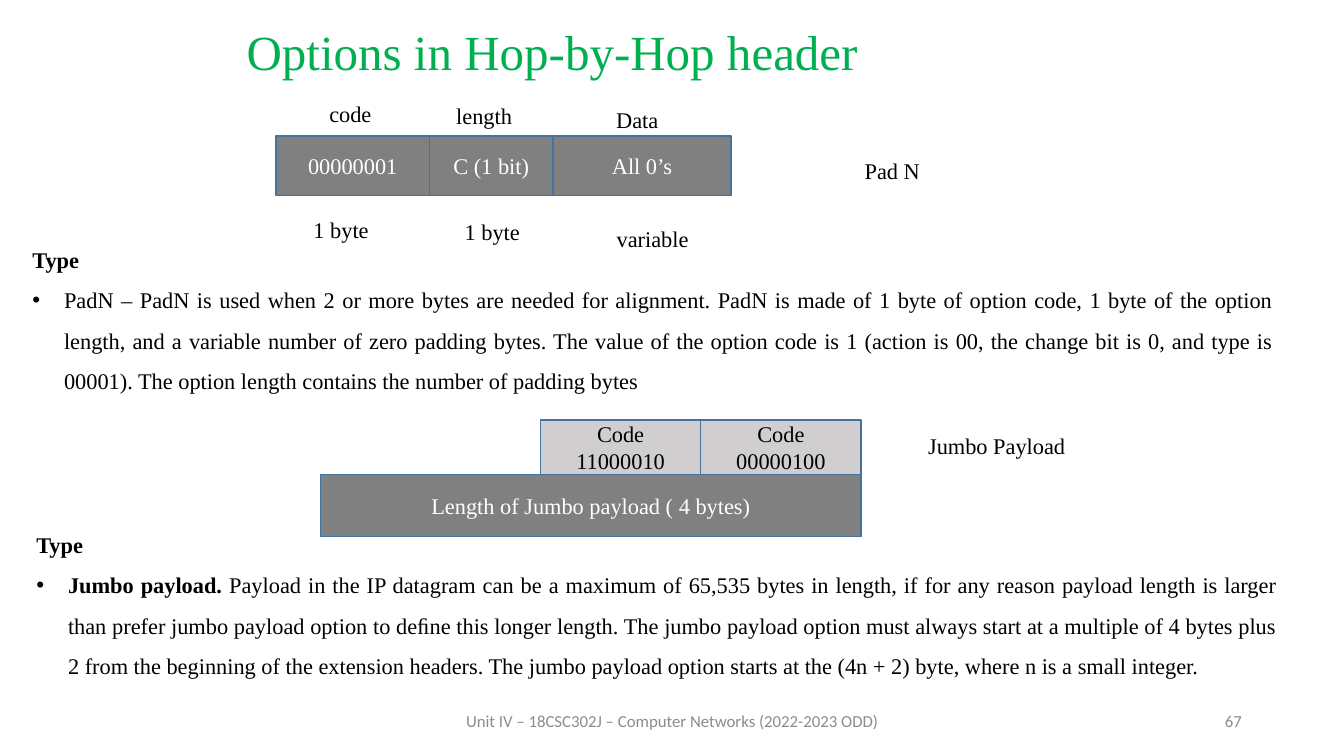
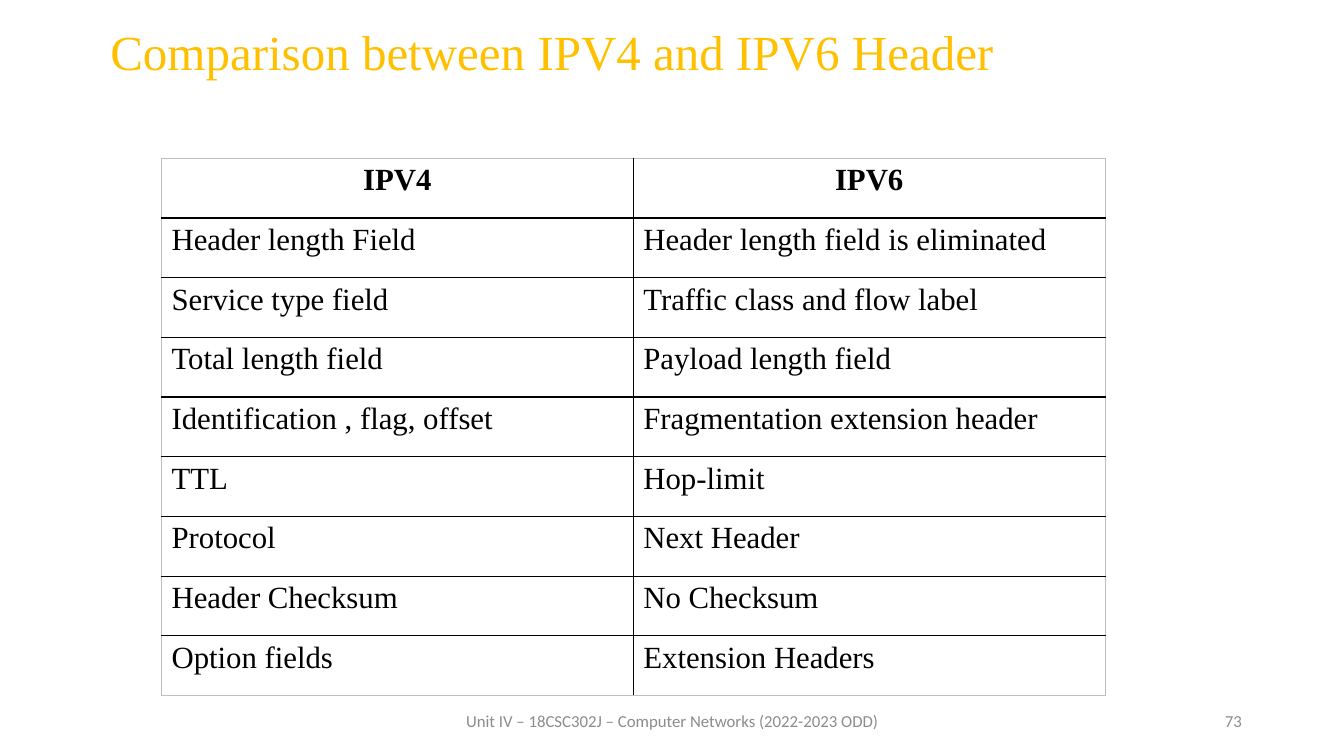
from lxml.etree import SubElement
from pptx import Presentation
from pptx.dml.color import RGBColor
from pptx.enum.shapes import MSO_SHAPE
from pptx.enum.text import MSO_ANCHOR, MSO_AUTO_SIZE, PP_ALIGN
from pptx.oxml.ns import qn
from pptx.util import Cm, Pt

COLORS = {
    "black": "000000",
    "white": "FFFFFF",
    "green": "00B050",
    "amber": "FFC000",
    "dark_field": "808080",
    "light_field": "D0CECE",
    "field_line": "43739E",
    "footer": "8C8C8C",
    "table_edge": "BFBFBF",
}
SERIF = "Times New Roman"
FOOTER = "Unit IV – 18CSC302J – Computer Networks (2022-2023 ODD)"


def write(paragraph, text, size=16, color="black", font=SERIF, bold=False, align=PP_ALIGN.LEFT):
    paragraph.alignment = align
    run = paragraph.add_run()
    run.text = text
    run.font.size = Pt(size)
    run.font.name = font
    run.font.bold = bold
    run.font.color.rgb = RGBColor.from_string(COLORS[color])


def add_label(slide, text, left, top, width, height=0.94, anchor=MSO_ANCHOR.TOP, **text_format):
    box = slide.shapes.add_textbox(Cm(left), Cm(top), Cm(width), Cm(height))
    box.text_frame.word_wrap = True
    box.text_frame.vertical_anchor = anchor
    write(box.text_frame.paragraphs[0], text, **text_format)


presentation = Presentation()
presentation.slide_width = Cm(33.87)
presentation.slide_height = Cm(19.05)
two_content = presentation.slide_layouts[3]
title_only = presentation.slide_layouts[5]

slides = []
for layout, title_text, title_color, number in [
    (two_content, "Options in Hop-by-Hop header", "green", "67"),
    (title_only, "Comparison between IPV4 and IPV6 Header", "amber", "73"),
]:
    slide = presentation.slides.add_slide(layout)
    slides.append(slide)
    title = slide.shapes.title
    title.left, title.top, title.width, title.height = Cm(0), Cm(0.41), Cm(27.84), Cm(1.52)
    title.text_frame.vertical_anchor = MSO_ANCHOR.TOP
    title.text_frame.auto_size = MSO_AUTO_SIZE.NONE
    paragraph = title.text_frame.paragraphs[0]
    paragraph.space_before = Pt(6)
    write(paragraph, title_text, size=35, color=title_color, align=PP_ALIGN.CENTER)
    for text, left, width, align in [
        (FOOTER, 11.23, 11.43, PP_ALIGN.CENTER),
        (number, 23.93, 7.62, PP_ALIGN.RIGHT),
    ]:
        add_label(slide, text, left, 17.65, width, 1.02, anchor=MSO_ANCHOR.MIDDLE,
                  size=12, color="footer", font="Calibri", align=align)

options_slide, comparison_slide = slides

for text, left, top, width, height, fill, color in [
    ("00000001", 6.96, 3.43, 3.86, 1.5, "dark_field", "white"),
    ("C (1 bit)", 10.82, 3.43, 3.12, 1.5, "dark_field", "white"),
    ("All 0’s", 13.94, 3.43, 4.48, 1.5, "dark_field", "white"),
    ("Code\n11000010", 13.62, 10.58, 4.04, 1.38, "light_field", "black"),
    ("Code\n00000100", 17.66, 10.58, 4.04, 1.38, "light_field", "black"),
    ("Length of Jumbo payload ( 4 bytes)", 8.08, 11.96, 13.62, 1.56, "dark_field", "white"),
]:
    field = options_slide.shapes.add_shape(
        MSO_SHAPE.RECTANGLE, Cm(left), Cm(top), Cm(width), Cm(height))
    field.shadow.inherit = False
    field.fill.solid()
    field.fill.fore_color.rgb = RGBColor.from_string(COLORS[fill])
    field.line.color.rgb = RGBColor.from_string(COLORS["field_line"])
    field.line.width = Pt(1)
    frame = field.text_frame
    frame.vertical_anchor = MSO_ANCHOR.MIDDLE
    for index, line in enumerate(text.split("\n")):
        paragraph = frame.add_paragraph() if index else frame.paragraphs[0]
        write(paragraph, line, color=color, align=PP_ALIGN.CENTER)

for text, left, top, width, align in [
    ("code", 7.65, 2.41, 2.36, PP_ALIGN.CENTER),
    ("length", 11.02, 2.46, 2.36, PP_ALIGN.CENTER),
    ("Data", 14.88, 2.54, 2.36, PP_ALIGN.CENTER),
    ("1 byte", 7.65, 5.33, 2.36, PP_ALIGN.LEFT),
    ("1 byte", 11.46, 5.38, 2.36, PP_ALIGN.LEFT),
    ("variable", 15.29, 5.54, 2.36, PP_ALIGN.LEFT),
    ("Pad N", 21.54, 3.84, 5.84, PP_ALIGN.LEFT),
    ("Jumbo Payload", 23.14, 10.77, 5.84, PP_ALIGN.LEFT),
]:
    add_label(options_slide, text, left, top, width, align=align)

for placeholder_index, left, top, height, heading_spacing, lead, text in [
    (1, 0.56, 5.74, 4.37, 1.5, "",
     "PadN – PadN is used when 2 or more bytes are needed for alignment. PadN is made of "
     "1 byte of option code, 1 byte of the option length, and a variable number of zero "
     "padding bytes. The value of the option code is 1 (action is 00, the change bit is 0, "
     "and type is 00001). The option length contains the number of padding bytes"),
    (2, 0.66, 13.26, 3.89, 1.0, "Jumbo payload. ",
     "Payload in the IP datagram can be a maximum of 65,535 bytes in length, if for any "
     "reason payload length is larger than prefer jumbo payload option to deﬁne this longer "
     "length. The jumbo payload option must always start at a multiple of 4 bytes plus 2 from "
     "the beginning of the extension headers. The jumbo payload option starts at the (4n + 2) "
     "byte, where n is a small integer."),
]:
    body = options_slide.placeholders[placeholder_index]
    body.left, body.top, body.width, body.height = Cm(left), Cm(top), Cm(31.78), Cm(height)
    frame = body.text_frame
    frame.auto_size = MSO_AUTO_SIZE.NONE
    heading, bullet = frame.paragraphs[0], frame.add_paragraph()
    for paragraph, spacing, indent in [(heading, heading_spacing, 0), (bullet, 1.5, Cm(0.8))]:
        paragraph.space_before = Pt(0)
        paragraph.line_spacing = spacing
        properties = paragraph._p.get_or_add_pPr()
        properties.set("marL", str(indent))
        properties.set("indent", str(-indent))
    SubElement(heading._p.get_or_add_pPr(), qn("a:buNone"))
    SubElement(bullet._p.get_or_add_pPr(), qn("a:buChar"), char="•")
    write(heading, "Type", bold=True, align=PP_ALIGN.JUSTIFY)
    if lead:
        write(bullet, lead, bold=True, align=PP_ALIGN.JUSTIFY)
    write(bullet, text, align=PP_ALIGN.JUSTIFY)

rows = [
    ("IPV4", "IPV6"),
    ("Header length Field", "Header length field is eliminated"),
    ("Service type field", "Traffic class and flow label"),
    ("Total length field", "Payload length field"),
    ("Identification , flag, offset", "Fragmentation extension header"),
    ("TTL", "Hop-limit"),
    ("Protocol", "Next Header"),
    ("Header Checksum", "No Checksum"),
    ("Option fields", "Extension Headers"),
]
table = comparison_slide.shapes.add_table(
    len(rows), 2, Cm(4.07), Cm(3.99), Cm(23.78), Cm(13.54)).table
table.horz_banding = False
for row_index, row in enumerate(rows):
    for column_index, text in enumerate(row):
        cell = table.cell(row_index, column_index)
        is_header = row_index == 0
        write(cell.text_frame.paragraphs[0], text, size=22, bold=is_header,
              align=PP_ALIGN.CENTER if is_header else PP_ALIGN.LEFT)
        for side, is_edge in [
            ("L", column_index == 0),
            ("R", column_index == 1),
            ("T", is_header),
            ("B", row_index == len(rows) - 1),
        ]:
            border = SubElement(cell._tc.get_or_add_tcPr(), qn("a:ln" + side), w=str(Pt(1)))
            border_fill = SubElement(border, qn("a:solidFill"))
            SubElement(border_fill, qn("a:srgbClr"),
                       val=COLORS["table_edge" if is_edge else "black"])
        cell.fill.background()

presentation.save("out.pptx")
